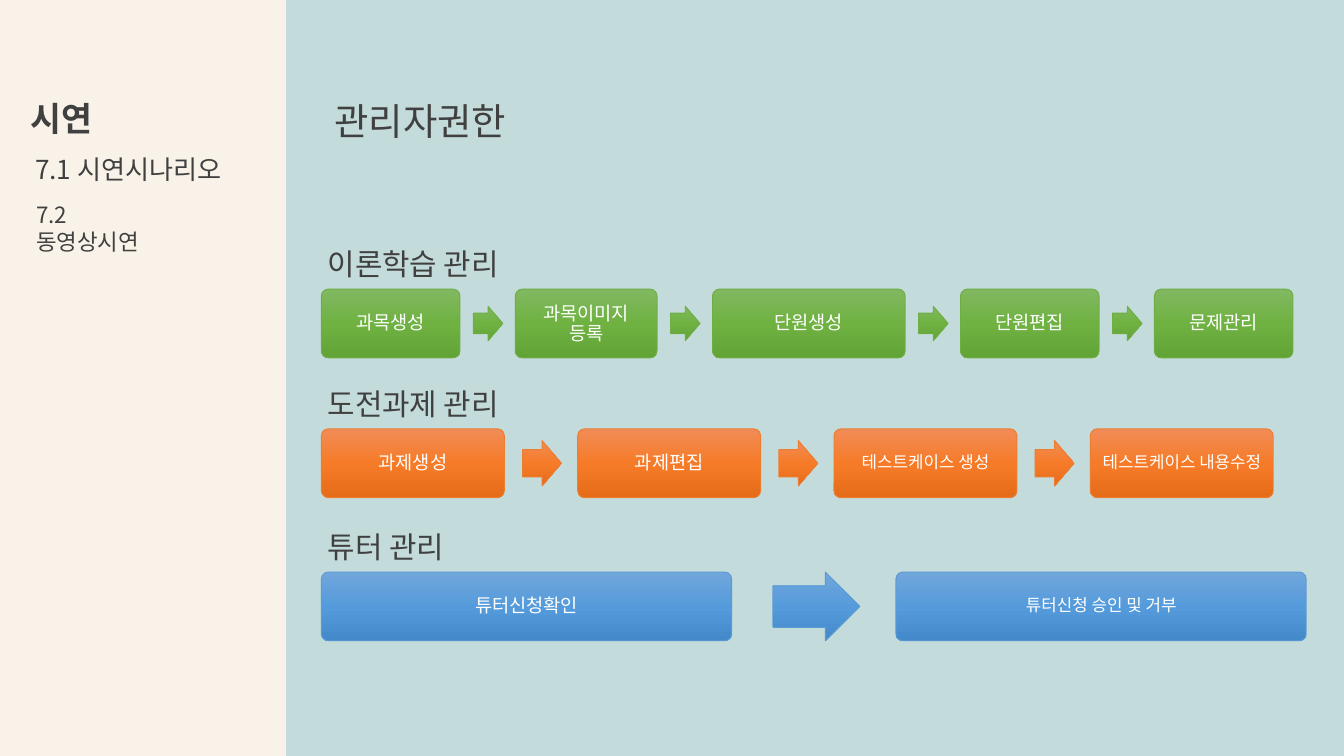
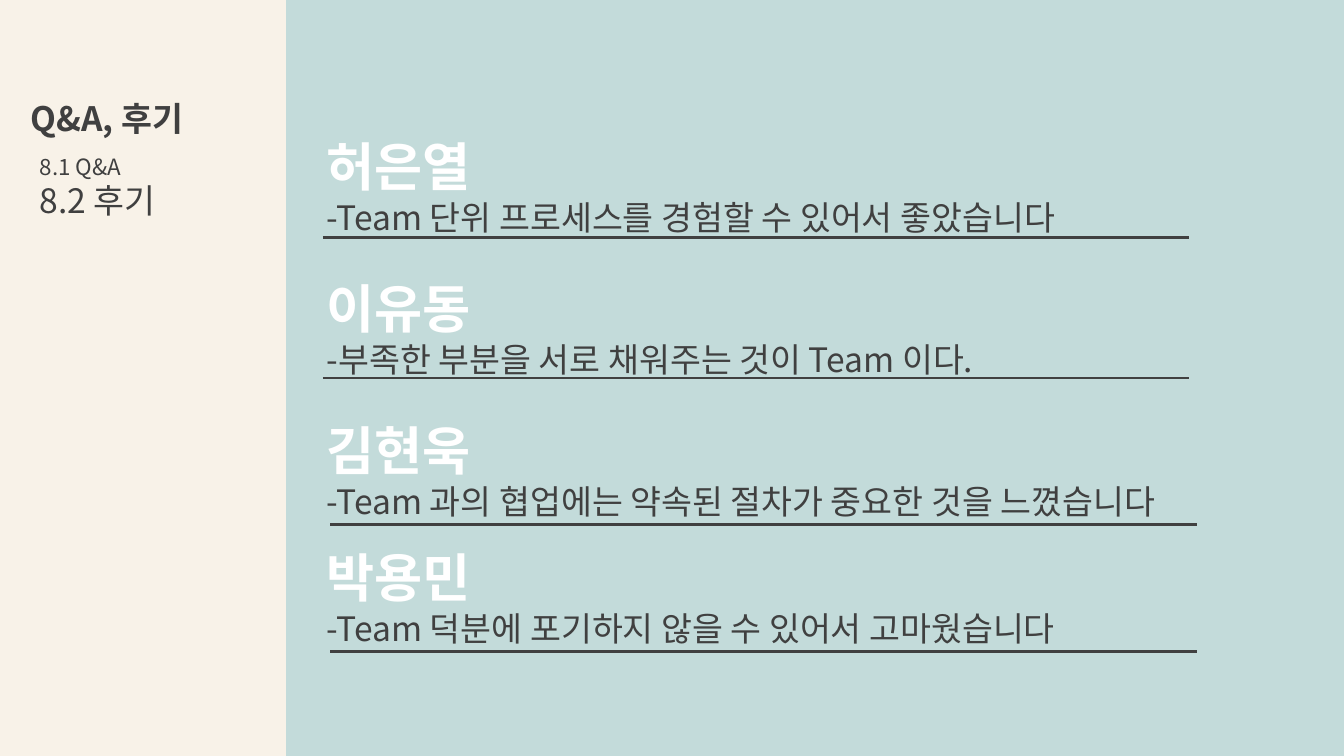
from copy import deepcopy
from dataclasses import dataclass

from lxml.etree import SubElement
from pptx import Presentation
from pptx.dml.color import RGBColor
from pptx.enum.shapes import MSO_CONNECTOR, MSO_SHAPE
from pptx.enum.text import MSO_ANCHOR, MSO_AUTO_SIZE, PP_ALIGN
from pptx.oxml.ns import qn
from pptx.util import Pt


@dataclass(frozen=True)
class Palette:
    line: str
    stops: tuple


@dataclass(frozen=True)
class Theme:
    font: str = "Noto Sans CJK KR"
    ink: str = "404040"
    white: str = "FFFFFF"
    panel: str = "C3DBDA"
    sidebar: str = "F8F2E8"
    green: Palette = Palette("70AD47", ("81B861", "6FB242", "62A336"))
    orange: Palette = Palette("ED7D31", ("F18C57", "F67B28", "E56C19"))
    blue: Palette = Palette("5B9BD5", ("71A6DB", "559BDB", "448ACA"))
    name_size: float = 28
    heading_size: float = 20
    title_size: float = 18
    section_size: float = 16
    current_size: float = 14
    menu_size: float = 12
    step_size: float = 10
    small_step_size: float = 9


THEME = Theme()
WIDTH, HEIGHT, SIDEBAR_WIDTH = 720, 405, 153.2
STEP_HEIGHT = 36.8


def apply_format(target, values):
    for name, value in values.items():
        setattr(target, name, value)


def points(*lengths):
    return [Pt(length) for length in lengths]


# Text
def write_line(paragraph, text, size, color=THEME.ink, bold=False):
    run = paragraph.add_run()
    run.text = text
    apply_format(run.font, {"name": THEME.font, "size": Pt(size), "bold": bold})
    run.font.color.rgb = RGBColor.from_string(color)
    east_asian = SubElement(run._r.get_or_add_rPr(), qn("a:ea"))
    east_asian.set("typeface", THEME.font)


def write_lines(frame, lines):
    """Each line is (text, size) with an optional colour and bold flag."""
    for index, line in enumerate(lines):
        paragraph = frame.add_paragraph() if index else frame.paragraphs[0]
        write_line(paragraph, *line)


def add_text(slide, left, top, width, height, *lines):
    frame = slide.shapes.add_textbox(*points(left, top, width, height)).text_frame
    apply_format(frame, {"word_wrap": True, "auto_size": MSO_AUTO_SIZE.SHAPE_TO_FIT_TEXT})
    write_lines(frame, lines)


# Shapes
def add_band(slide, left, width, color):
    band = slide.shapes.add_shape(MSO_SHAPE.RECTANGLE, *points(left, 0, width, HEIGHT))
    band.shadow.inherit = False
    band.fill.solid()
    band.fill.fore_color.rgb = RGBColor.from_string(color)
    band.line.fill.background()


def add_gradient_shape(slide, kind, box, adjustments, palette):
    shape = slide.shapes.add_shape(kind, *points(*box))
    shape.shadow.inherit = False
    for index, value in enumerate(adjustments):
        shape.adjustments[index] = value
    shape.fill.gradient()
    shape.fill.gradient_angle = 270
    stop_list = shape._element.spPr.find(qn("a:gradFill")).find(qn("a:gsLst"))
    stop_list.append(deepcopy(stop_list[0]))
    for index, stop in enumerate(shape.fill.gradient_stops):
        stop.position = index / 2
        stop.color.rgb = RGBColor.from_string(palette.stops[index])
    shape.line.color.rgb = RGBColor.from_string(palette.line)
    shape.line.width = Pt(0.5)
    return shape


def add_step(slide, left, top, width, label, size, palette):
    box = (left, top, width, STEP_HEIGHT)
    step = add_gradient_shape(slide, MSO_SHAPE.ROUNDED_RECTANGLE, box, [0.1], palette)
    frame = step.text_frame
    margins = {f"margin_{side}": Pt(4) for side in ("left", "top", "right", "bottom")}
    apply_format(frame, {"word_wrap": True, "vertical_anchor": MSO_ANCHOR.MIDDLE, **margins})
    write_lines(frame, [(text, size, THEME.white) for text in label.split("\n")])
    for paragraph in frame.paragraphs:
        paragraph.alignment = PP_ALIGN.CENTER
    apply_format(frame.paragraphs[-1], {"line_spacing": 0.9, "space_after": Pt(0.35 * size)})


def add_process(slide, title, top, palette, steps, gap, arrow):
    """Steps are (label, width, size); arrow is (offset, width, height)."""
    add_text(slide, 168.5, top - 26.7, 150, 26.6, (title, THEME.section_size))
    offset, arrow_width, arrow_height = arrow
    arrow_top = top + (STEP_HEIGHT - arrow_height) / 2
    left = 172.2
    for index, (label, width, size) in enumerate(steps):
        if index:
            box = (left - gap + offset, arrow_top, arrow_width, arrow_height)
            add_gradient_shape(slide, MSO_SHAPE.RIGHT_ARROW, box, [0.6, 0.5], palette)
        add_step(slide, left, top, width, label, size, palette)
        left += width + gap


def add_rule(slide, left, top, width):
    rule = slide.shapes.add_connector(
        MSO_CONNECTOR.STRAIGHT, *points(left, top, left + width, top))
    rule.line.color.rgb = RGBColor.from_string(THEME.ink)
    rule.line.width = Pt(1.5)
    SubElement(rule._element.spPr, qn("a:effectLst"))


# Slides
def add_base_slide(presentation, title):
    slide = presentation.slides.add_slide(presentation.slide_layouts[6])
    add_band(slide, SIDEBAR_WIDTH, WIDTH - SIDEBAR_WIDTH, THEME.panel)
    add_band(slide, 0, SIDEBAR_WIDTH, THEME.sidebar)
    add_text(slide, 9.2, 49, 150.5, 29, (title, THEME.title_size, THEME.ink, True))
    return slide


def build_demo_slide(presentation):
    slide = add_base_slide(presentation, "시연")
    add_text(slide, 11.8, 78.5, 133, 24.2, ("7.1 시연시나리오", THEME.current_size))
    add_text(slide, 12.3, 104.3, 86, 36, ("7.2 동영상시연", THEME.menu_size))
    add_text(slide, 172, 49, 126, 31.5, ("관리자권한", THEME.heading_size))

    normal, small = THEME.step_size, THEME.small_step_size
    add_process(slide, "이론학습 관리", 154.9, THEME.green, [
        ("과목생성", 74.2, normal),
        ("과목이미지\n등록", 75.9, normal),
        ("단원생성", 103.2, normal),
        ("단원편집", 74.2, normal),
        ("문제관리", 74.2, normal),
    ], gap=29.7, arrow=(7.2, 15.8, 18.4))
    add_process(slide, "도전과제 관리", 229.8, THEME.orange, [
        ("과제생성", 98, normal),
        ("과제편집", 98, normal),
        ("테스트케이스 생성", 98, small),
        ("테스트케이스 내용수정", 98, small),
    ], gap=39.3, arrow=(9.8, 20.8, 24.3))
    add_process(slide, "튜터 관리", 306.5, THEME.blue, [
        ("튜터신청확인", 219.8, normal),
        ("튜터신청 승인 및 거부", 219.8, small),
    ], gap=88, arrow=(22, 46.6, 36.8))


def build_review_slide(presentation):
    slide = add_base_slide(presentation, "Q&A, 후기")
    add_text(slide, 14.2, 78.5, 170, 44,
             ("8.1 Q&A", THEME.menu_size), ("8.2 후기", THEME.title_size))

    # Reviews: name, comment, text top, text width, rule left, rule top
    reviews = [
        ("허은열", "-Team 단위 프로세스를 경험할 수 있어서 좋았습니다", 68.2, 469.5, 173, 127.2),
        ("이유동", "-부족한 부분을 서로 채워주는 것이 Team 이다.", 144.2, 421, 173, 202.5),
        ("김현욱", "-Team 과의 협업에는 약속된 절차가 중요한 것을 느꼈습니다",
         220.3, 525.5, 177, 280.8),
        ("박용민", "-Team 덕분에 포기하지 않을 수 있어서 고마웠습니다", 288.3, 445.5, 177, 349),
    ]
    for name, comment, top, width, rule_left, rule_top in reviews:
        add_text(slide, 168, top, width, 63.4,
                 (name, THEME.name_size, THEME.white, True), (comment, THEME.title_size))
        add_rule(slide, rule_left, rule_top, 464)


def main():
    presentation = Presentation()
    apply_format(presentation, {"slide_width": Pt(WIDTH), "slide_height": Pt(HEIGHT)})
    build_demo_slide(presentation)
    build_review_slide(presentation)
    presentation.save("out.pptx")


if __name__ == "__main__":
    main()
